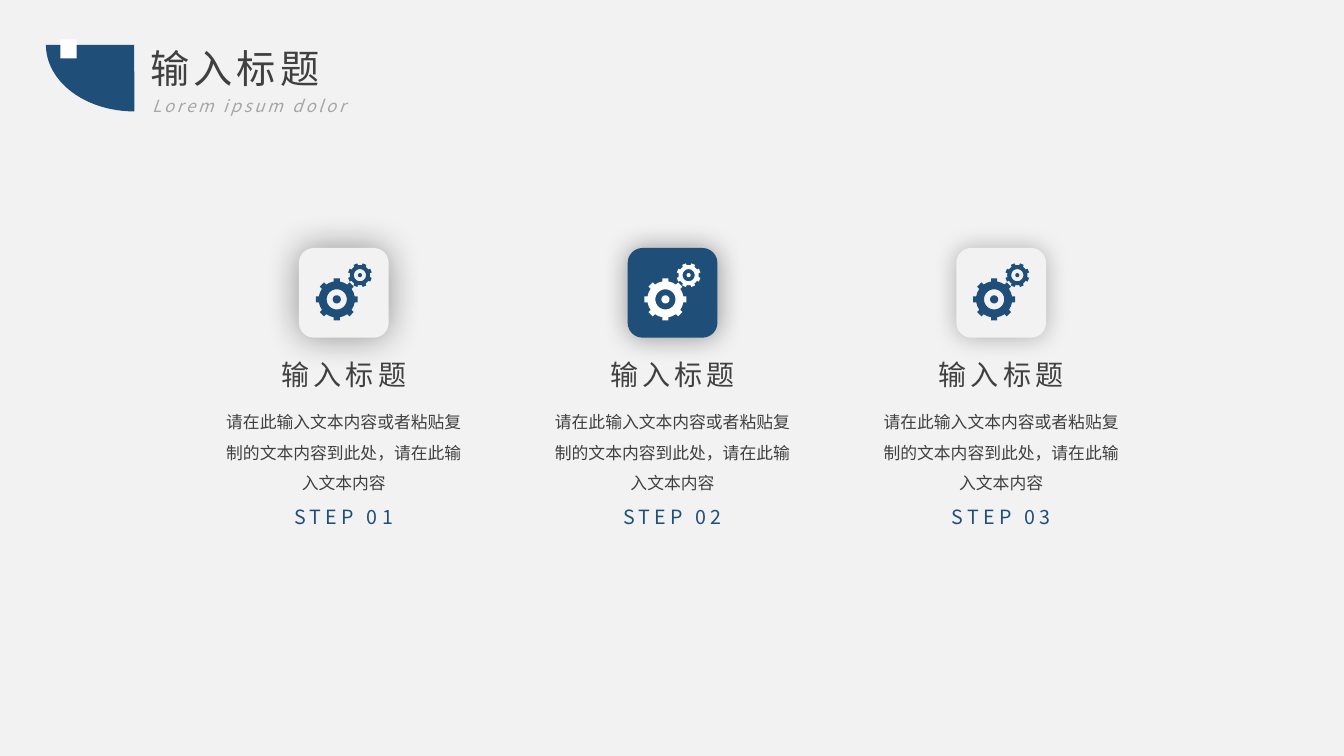
import math
from dataclasses import dataclass

import pptx
import pptx.dml.color
import pptx.enum.shapes
import pptx.enum.text
import pptx.oxml.ns
import pptx.util
from lxml import etree
from pptx.util import Inches

COLORS = {"paper": "F2F2F2", "navy": "1F4E79", "white": "FFFFFF",
          "ink": "404040", "gray": "A6A6A6", "black": "000000"}
FONT = "Noto Sans CJK SC"
SHAPES = pptx.enum.shapes.MSO_SHAPE
ALIGN = pptx.enum.text.PP_ALIGN
TITLE = "输入标题"
BODY = "请在此输入文本内容或者粘贴复制的文本内容到此处，请在此输入文本内容"
SLIDE_CENTER = 6.67
STEP_PITCH = 3.26
TILE = 0.89


@dataclass(frozen=True)
class Step:
    label: str
    tile_color: str
    gear_color: str
    shadow_alpha: int
    shadow_blur: int


@dataclass(frozen=True)
class Gear:
    """Offsets from the column centre and the slide top, with radii, in inches."""
    dx: float
    y: float
    tip: float
    body: float
    hole: float
    hub: float
    tooth: float
    turn: float


@dataclass(frozen=True)
class Label:
    text: str
    size: int
    color: str
    box: tuple[float, float, float, float]
    align: ALIGN = ALIGN.CENTER
    spacing: int = 0
    leading: float = 1.0
    italic: bool = False


STEPS = [
    Step("STEP 01", "paper", "navy", 40, 25),
    Step("STEP 02", "navy", "white", 40, 19),
    Step("STEP 03", "paper", "navy", 27, 17),
]
GEARS = [
    Gear(-0.07, 2.97, 0.21, 0.18, 0.1, 0.04, 0.03, 0),
    Gear(0.16, 2.73, 0.12, 0.1, 0.06, 0.02, 0.02, 22.5),
]
HEADING = [
    Label(TITLE, 28, "ink", (1.39, 0.39, 2.13, 0.57), ALIGN.LEFT, 3),
    Label("Lorem ipsum dolor", 12, "gray", (1.41, 0.8, 2.48, 0.37),
          ALIGN.LEFT, 2, 1.5, True),
]


def rgb(name: str) -> pptx.dml.color.RGBColor:
    return pptx.dml.color.RGBColor.from_string(COLORS[name])


def paint(sp, color: str) -> None:
    """Give a shape a flat fill with no outline or shadow."""
    sp.fill.solid()
    sp.fill.fore_color.rgb = rgb(color)
    sp.line.fill.background()
    sp.shadow.inherit = False


def add_block(shapes, kind, box: tuple, color: str):
    sp = shapes.add_shape(kind, *map(Inches, box))
    paint(sp, color)
    return sp


def add_glow(sp, alpha: int, blur: int) -> None:
    """Add a centred soft shadow; alpha in percent, blur in points."""
    qn = pptx.oxml.ns.qn
    effects = sp._element.spPr.find(qn("a:effectLst"))
    shadow = etree.SubElement(effects, qn("a:outerShdw"), dist="0", dir="0",
                              blurRad=str(pptx.util.Pt(blur)), algn="ctr",
                              rotWithShape="0")
    color = etree.SubElement(shadow, qn("a:srgbClr"), val=COLORS["black"])
    etree.SubElement(color, qn("a:alpha"), val=str(alpha * 1000))


def add_label(shapes, label: Label) -> None:
    tf = shapes.add_textbox(*map(Inches, label.box)).text_frame
    tf.word_wrap = True
    tf.auto_size = pptx.enum.text.MSO_AUTO_SIZE.SHAPE_TO_FIT_TEXT
    p = tf.paragraphs[0]
    p.alignment = label.align
    p.line_spacing = label.leading
    r = p.add_run()
    r.text = label.text
    formats = {"name": FONT, "size": pptx.util.Pt(label.size), "italic": label.italic}
    for name, value in formats.items():
        setattr(r.font, name, value)
    r.font.color.rgb = rgb(label.color)
    props = r._r.get_or_add_rPr()
    props.set("spc", str(label.spacing * 100))
    etree.SubElement(props, pptx.oxml.ns.qn("a:ea"), typeface=FONT)


def ring(radius: float) -> list[tuple[float, float]]:
    angles = [math.tau * i / 40 for i in range(40)]
    return [(radius * math.cos(a), radius * math.sin(a)) for a in angles]


def toothed_rim(gear: Gear) -> list[tuple[float, float]]:
    points = []
    for i in range(8):
        a = math.radians(45 * i + gear.turn)
        for reach, side in ((gear.body, -1), (gear.tip, -1), (gear.tip, 1), (gear.body, 1)):
            w = side * gear.tooth
            x = math.sqrt(reach ** 2 - w ** 2)
            points.append((x * math.cos(a) - w * math.sin(a),
                           x * math.sin(a) + w * math.cos(a)))
        mid = a + math.pi / 8
        points.append((gear.body * math.cos(mid), gear.body * math.sin(mid)))
    return points


def add_gears(shapes, center: float, color: str) -> None:
    """Draw both gears as one outline whose nested contours cut the holes."""
    contours = [
        [(Inches(center + gear.dx + x), Inches(gear.y + y)) for x, y in outline]
        for gear in GEARS
        for outline in (toothed_rim(gear), ring(gear.hole), ring(gear.hub))
    ]
    builder = shapes.build_freeform(*contours[0][0])
    for i, contour in enumerate(contours):
        if i:
            builder.move_to(*contour[0])
        builder.add_line_segments(contour[1:], close=True)
    paint(builder.convert_to_shape(), color)


def add_step(s, step: Step, center: float) -> None:
    shapes = s.shapes.add_group_shape().shapes
    tile = add_block(shapes, SHAPES.ROUNDED_RECTANGLE,
                     (center - TILE / 2, 2.46, TILE, TILE), step.tile_color)
    add_glow(tile, step.shadow_alpha, step.shadow_blur)
    narrow, wide = 1.86, 2.55
    for label in (
        Label(TITLE, 20, "ink", (center - narrow / 2, 3.5, narrow, 0.44), spacing=3),
        Label(BODY, 12, "ink", (center - wide / 2, 3.94, wide, 1.01), leading=1.5),
        Label(step.label, 14, "navy", (center - narrow / 2, 4.96, narrow, 0.34), spacing=3),
    ):
        add_label(shapes, label)
    add_gears(shapes, center, step.gear_color)


def add_heading(s) -> None:
    shapes = s.shapes.add_group_shape().shapes
    fan = add_block(shapes, SHAPES.PIE, (0.67, -0.43, 1.32, 1.75), "navy")
    fan.rotation = 270
    fan.adjustments[0], fan.adjustments[1] = 107.8, 162
    add_block(shapes, SHAPES.RECTANGLE, (0.6, 0.39, 0.16, 0.19), "white")
    for label in HEADING:
        add_label(shapes, label)


def main() -> None:
    prs = pptx.Presentation()
    prs.slide_width, prs.slide_height = Inches(13.33), Inches(7.5)
    s = prs.slides.add_slide(prs.slide_layouts[6])
    s.background.fill.solid()
    s.background.fill.fore_color.rgb = rgb("paper")
    for i, step in enumerate(STEPS):
        add_step(s, step, SLIDE_CENTER + STEP_PITCH * (i - 1))
    add_heading(s)
    prs.save("out.pptx")


if __name__ == "__main__":
    main()
